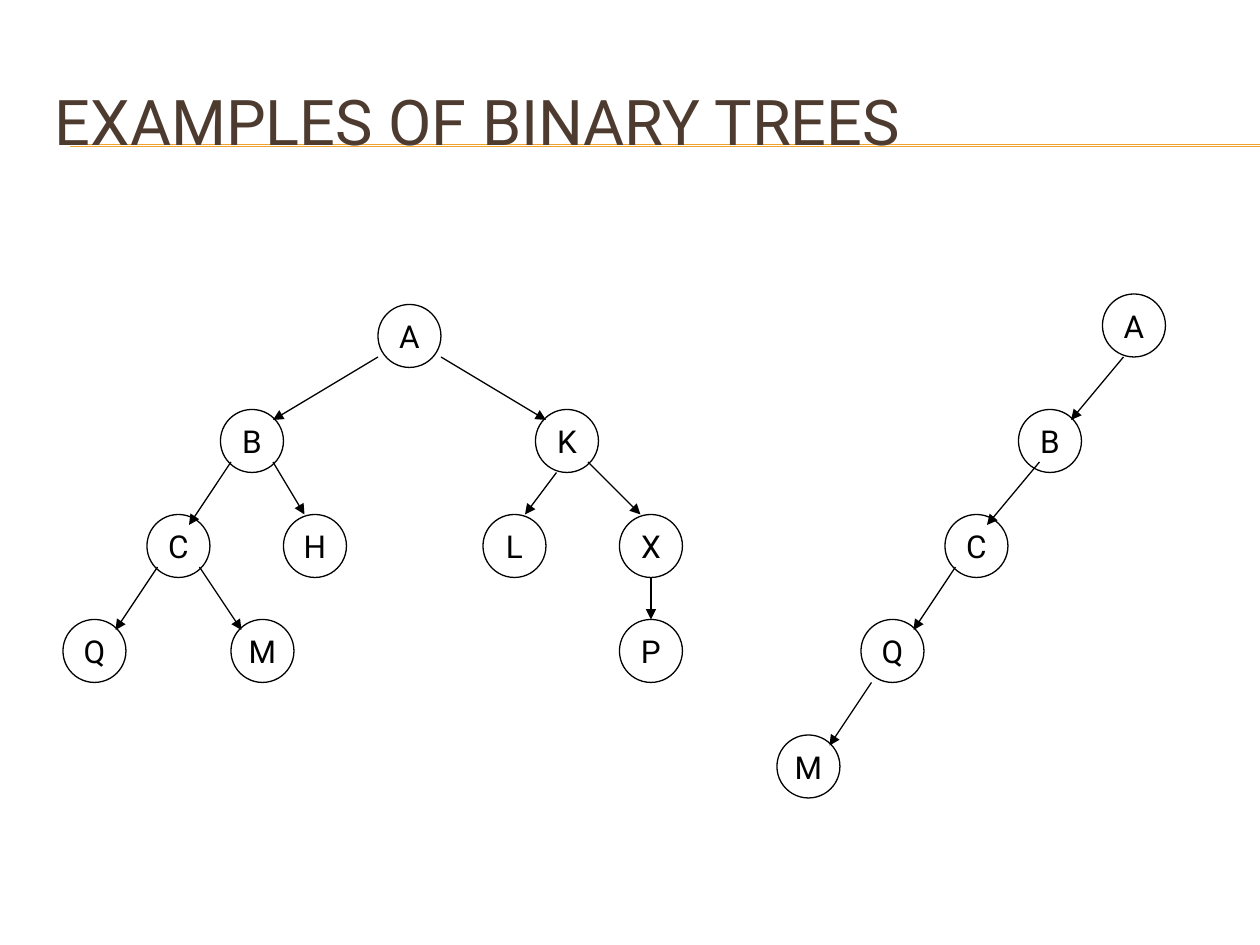
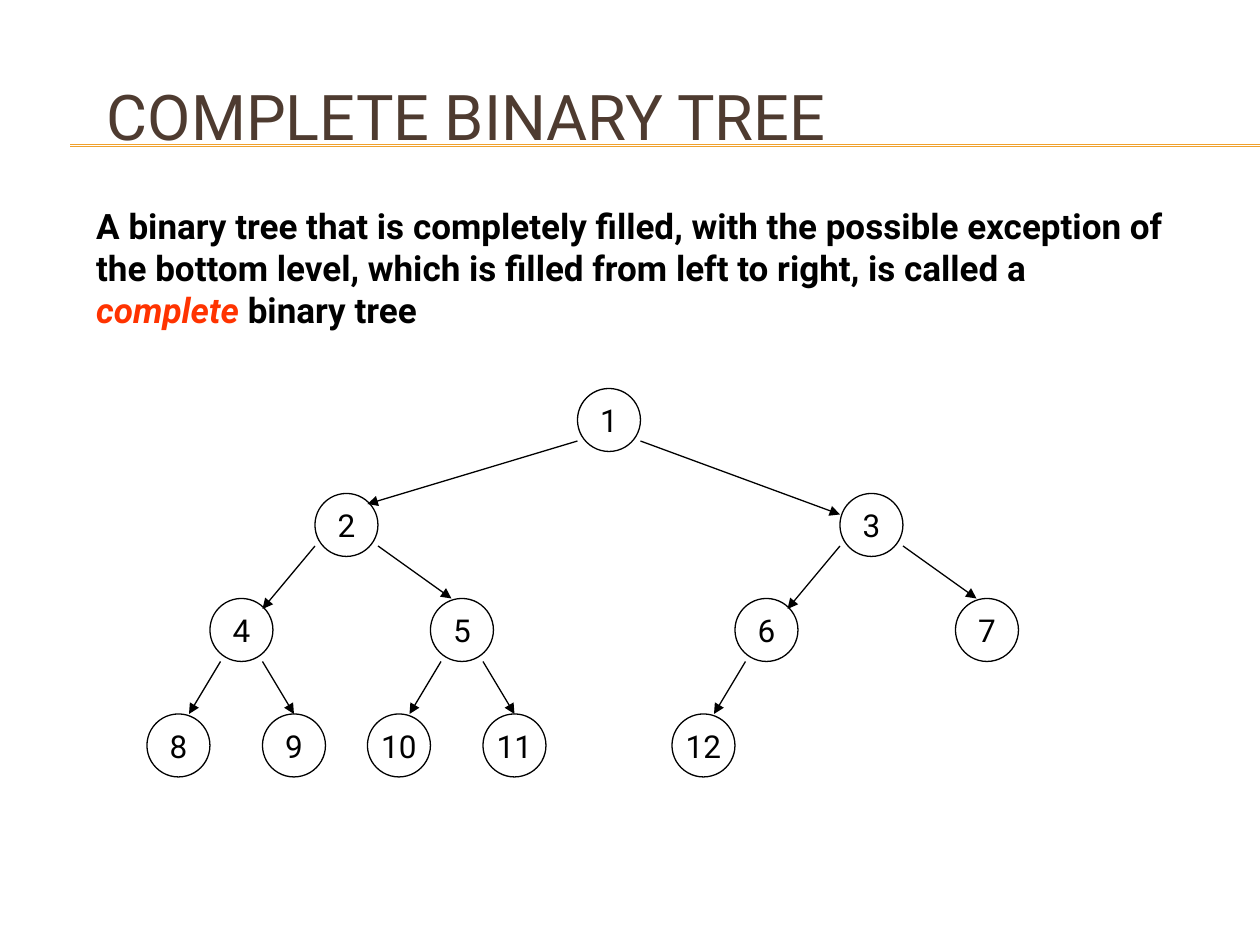
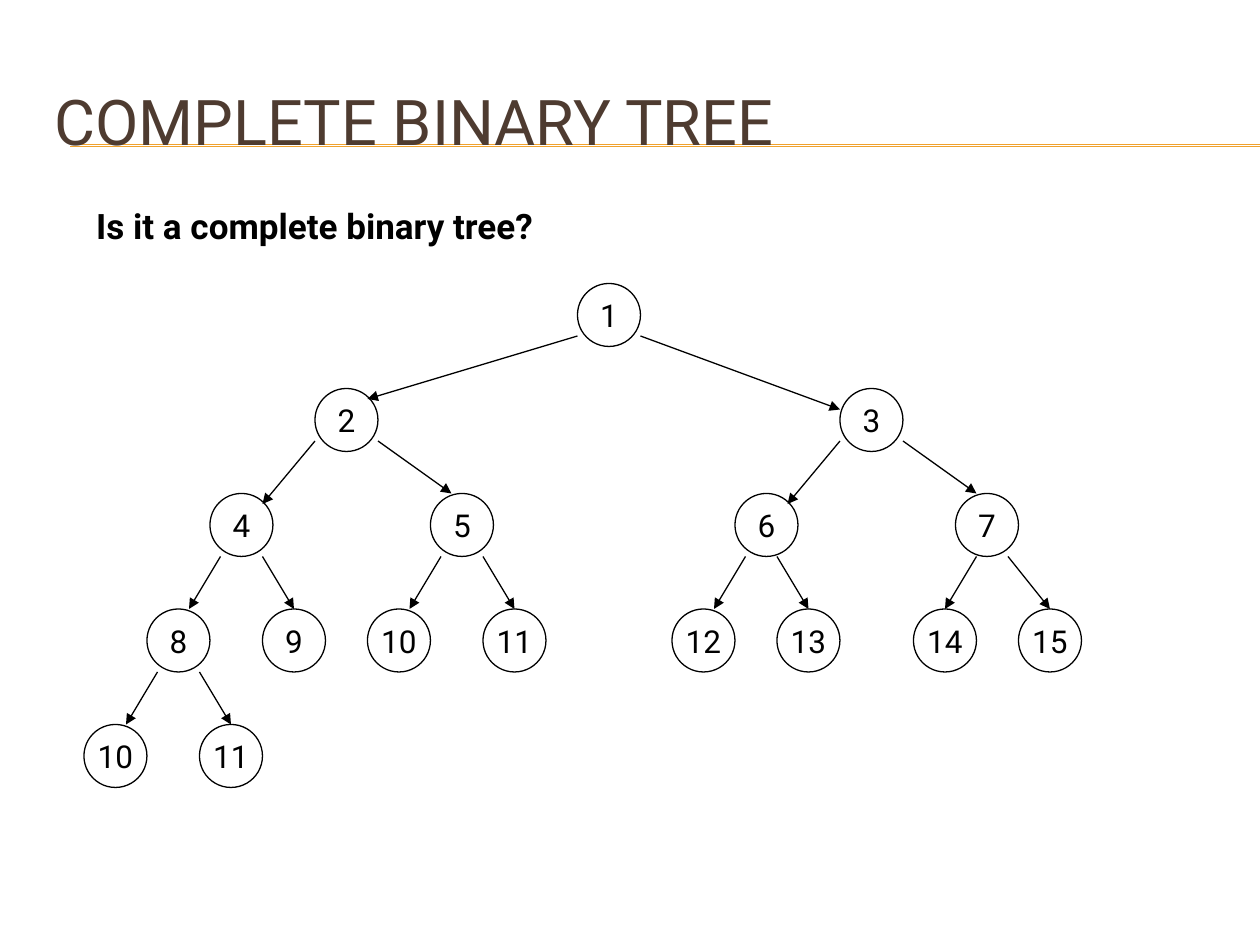
import pptx
import pptx.dml.color
import pptx.enum.shapes
import pptx.enum.text
import pptx.oxml
import pptx.oxml.ns
import pptx.util

Cm = pptx.util.Cm
Pt = pptx.util.Pt

FONT = "Roboto"
BROWN = "4E3B30"
ORANGE = "F0A22E"
BLACK = "000000"
RED = "FF3300"

GRID = 2.54 / 12  # tree coordinates count twelfths of an inch
NODE_SIZE = 6
TITLE_WIDE = (0.85, 1.27, 24.13, 2.33)
TITLE_NARROW = (1.9, 1.27, 21.59, 2.12)

# Nodes are (label, left, top); edges are (from x, from y, to x, to y).
BRANCHING_NODES = [
    ("A", 36, 29), ("B", 21, 39), ("K", 51, 39),
    ("C", 14, 49), ("H", 27, 49), ("L", 46, 49), ("X", 59, 49),
    ("Q", 6, 59), ("M", 22, 59), ("P", 59, 59),
]
BRANCHING_EDGES = [
    (36, 34, 26, 40), (42, 34, 52, 40),
    (22, 44, 18, 50), (26, 44, 29, 49), (53, 45, 50, 49), (56, 44, 61, 49),
    (15, 54, 11, 60), (19, 54, 23, 60), (62, 55, 62, 59),
]
CHAIN_NODES = [("A", 105, 28), ("B", 97, 39), ("C", 90, 49), ("Q", 82, 59), ("M", 74, 70)]
CHAIN_EDGES = [(107, 34, 102, 40), (99, 44, 94, 50), (91, 54, 87, 60), (83, 65, 79, 71)]

# The complete tree is measured from the top of its root.
COMPLETE_NODES = [
    ("1", 55, 0), ("2", 30, 10), ("3", 80, 10),
    ("4", 20, 20), ("5", 41, 20), ("6", 70, 20), ("7", 91, 20),
    ("8", 14, 31), ("9", 25, 31), ("10", 35, 31), ("11", 46, 31), ("12", 64, 31),
]
COMPLETE_EDGES = [
    (55, 5, 35, 11), (61, 5, 80, 12),
    (30, 15, 25, 21), (36, 15, 43, 20), (80, 15, 75, 21), (86, 15, 93, 20),
    (21, 26, 18, 31), (25, 26, 28, 31), (42, 26, 39, 31), (46, 26, 49, 31),
    (71, 26, 68, 31),
]
ADDED_NODES = [("13", 74, 31), ("14", 87, 31), ("15", 97, 31), ("10", 8, 42), ("11", 19, 42)]
ADDED_EDGES = [
    (74, 26, 77, 31), (93, 26, 90, 31), (96, 26, 100, 31),
    (15, 37, 12, 42), (19, 37, 22, 42),
]


def rgb(value):
    return pptx.dml.color.RGBColor.from_string(value)


def set_font(font, size, color, bold=False):
    font.name = FONT
    font.size = Pt(size)
    font.bold = bold
    font.color.rgb = rgb(color)


def add_line(shapes, start, end, color):
    """Draw a thin straight line between two points given in cm."""
    line = shapes.add_connector(
        pptx.enum.shapes.MSO_CONNECTOR.STRAIGHT, *map(Cm, start + end))
    line.line.color.rgb = rgb(color)
    line.line.width = Pt(0.75)
    line.element.spPr.append(pptx.oxml.parse_xml(
        f"<a:effectLst {pptx.oxml.ns.nsdecls('a')}/>"))
    return line


def add_arrow(shapes, start, end):
    arrow = add_line(shapes, start, end, BLACK)
    arrow.line._get_or_add_ln().append(pptx.oxml.parse_xml(
        f"<a:tailEnd {pptx.oxml.ns.nsdecls('a')} type='triangle'/>"))


def add_node(shapes, label, left, top):
    size = Cm(NODE_SIZE * GRID)
    node = shapes.add_shape(
        pptx.enum.shapes.MSO_SHAPE.OVAL, Cm(left), Cm(top), size, size)
    node.shadow.inherit = False
    node.fill.background()
    node.line.color.rgb = rgb(BLACK)
    node.line.width = Pt(0.75)
    frame = node.text_frame
    frame.word_wrap = False
    frame.vertical_anchor = pptx.enum.text.MSO_ANCHOR.MIDDLE
    para = frame.paragraphs[0]
    para.text = label
    para.alignment = pptx.enum.text.PP_ALIGN.CENTER
    set_font(para.font, 18, BLACK)


def add_tree(page, nodes, edges, root_top=0):
    """Draw a grouped tree, moved down by root_top grid units."""
    shapes = page.shapes.add_group_shape().shapes
    for label, left, top in nodes:
        add_node(shapes, label, left * GRID, (top + root_top) * GRID)
    for x1, y1, x2, y2 in edges:
        add_arrow(shapes, (x1 * GRID, (y1 + root_top) * GRID),
                  (x2 * GRID, (y2 + root_top) * GRID))


def add_page(deck, layout, title, place):
    page = deck.slides.add_slide(layout)
    box = page.shapes.title
    box.left, box.top, box.width, box.height = map(Cm, place)
    box.text_frame.vertical_anchor = pptx.enum.text.MSO_ANCHOR.MIDDLE
    para = box.text_frame.paragraphs[0]
    para.text = title
    para.alignment = pptx.enum.text.PP_ALIGN.LEFT
    set_font(para.font, 36, BROWN)
    return page


def add_statement(page, height, before, emphasis="", after=""):
    """Add a bold paragraph whose emphasis part is red and italic."""
    box = page.shapes.add_textbox(Cm(1.69), Cm(3.99), Cm(22.22), Cm(height))
    box.text_frame.word_wrap = True
    para = box.text_frame.paragraphs[0]
    set_font(para.font, 20, BLACK, bold=True)
    for text in filter(None, (before, emphasis, after)):
        span = para.add_run()
        span.text = text
        if text == emphasis:
            span.font.italic = True
            span.font.color.rgb = rgb(RED)


def add_title_rules(page, layout):
    """Draw the double rule and move it to the layout that all slides share."""
    for height in (2.92, 2.95):
        rule = add_line(page.shapes, (1.42, height), (25.4, height), ORANGE)
        layout.shapes.element.append(rule.element)


def main():
    deck = pptx.Presentation()
    deck.slide_width, deck.slide_height = Cm(25.4), Cm(19.05)
    layout = deck.slide_layouts.get_by_name("Title Only")

    page = add_page(deck, layout, "EXAMPLES OF BINARY TREES", TITLE_WIDE)
    add_title_rules(page, layout)
    add_tree(page, BRANCHING_NODES, BRANCHING_EDGES)
    add_tree(page, CHAIN_NODES, CHAIN_EDGES)

    page = add_page(deck, layout, "COMPLETE BINARY TREE", TITLE_NARROW)
    add_statement(
        page, 2.79,
        "A binary tree that is completely filled, with the possible exception of "
        "the bottom level, which is filled from left to right, is called a ",
        "complete", " binary tree")
    add_tree(page, COMPLETE_NODES, COMPLETE_EDGES, root_top=37)

    page = add_page(deck, layout, "COMPLETE BINARY TREE", TITLE_WIDE)
    add_statement(page, 1.12, "Is it a complete binary tree?")
    add_tree(page, COMPLETE_NODES + ADDED_NODES, COMPLETE_EDGES + ADDED_EDGES, root_top=27)

    deck.save("out.pptx")


if __name__ == "__main__":
    main()
